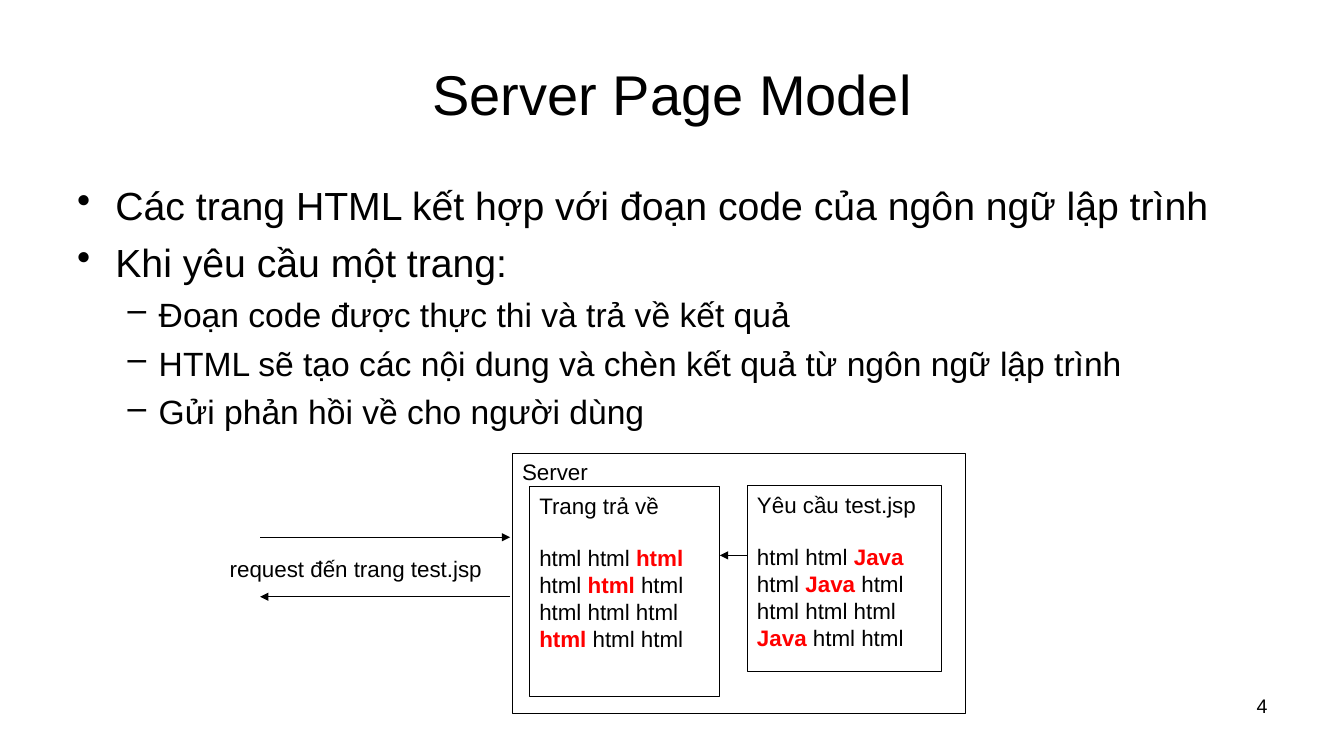
import pptx
import pptx.util
import pptx.dml.color
import pptx.enum.shapes
import pptx.enum.text
import pptx.oxml
import pptx.oxml.ns

# Content
TITLE = "Server Page Model"
PAGE_NUMBER = "4"
POINTS = [
    (0, "Các trang HTML kết hợp với đoạn code của ngôn ngữ lập trình"),
    (0, "Khi yêu cầu một trang:"),
    (1, "Đoạn code được thực thi và trả về kết quả"),
    (1, "HTML sẽ tạo các nội dung và chèn kết quả từ ngôn ngữ lập trình"),
    (1, "Gửi phản hồi về cho người dùng"),
]
REQUEST = "request đến trang test.jsp"
SERVER = "Server"
# Words between asterisks are highlighted; {} takes the name of the language.
CODE = ["html html *{}*", "html *{}* html", "html html html", "*{}* html html"]
PAGES = [  # heading, highlighted word, left, top, width, height
    ("Yêu cầu test.jsp", "Java", 7.41, 4.82, 1.93, 1.84),
    ("Trang trả về", "html", 5.25, 4.83, 1.89, 2.08),
]

# Style
COLORS = {"ink": "000000", "paper": "FFFFFF", "highlight": "FF0000"}
FONT = "Arial"
LABEL_SIZE = 16
LEVELS = [  # bullet, size, space before, left indent, hanging indent
    ("•", 28, 7, 0.38, 0.38),
    ("–", 24, 6, 0.81, 0.31),
]

# Layout
SLIDE_W, SLIDE_H = 13.33, 7.5
MARGIN = SLIDE_W / 20
CONTENT_W = SLIDE_W - 2 * MARGIN
SERVER_BOX = (5.08, 4.5, 4.5, 2.58)
CLIENT_X, SERVER_X = 2.58, 5.06
ARROWS = [  # start x, end x, y
    (CLIENT_X, SERVER_X, 5.33),
    (PAGES[0][2], PAGES[1][2] + PAGES[1][4], 5.51),
    (SERVER_X, CLIENT_X, 5.92),
]

Inches, Pt = pptx.util.Inches, pptx.util.Pt
ALIGN, ANCHOR = pptx.enum.text.PP_ALIGN, pptx.enum.text.MSO_ANCHOR


def color(name):
    return pptx.dml.color.RGBColor.from_string(COLORS[name])


def write(frame, text, size=LABEL_SIZE, align=ALIGN.LEFT, before=0, level=None):
    """Add one paragraph; parts between asterisks are bold and highlighted."""
    paragraph = frame.paragraphs[0]
    if paragraph.runs:
        paragraph = frame.add_paragraph()
        paragraph.space_before = Pt(before)
    paragraph.alignment = align
    if level is not None:
        bullet, _, _, indent, hanging = LEVELS[level]
        paragraph.level = level
        properties = paragraph._p.get_or_add_pPr()
        properties.set("marL", str(Inches(indent)))
        properties.set("indent", str(-Inches(hanging)))
        mark = pptx.oxml.parse_xml(
            f'<a:buChar {pptx.oxml.ns.nsdecls("a")} char="{bullet}"/>')
        properties.append(mark)
    for index, part in enumerate(text.split("*")):
        if part:
            run = paragraph.add_run()
            run.text = part
            run.font.name = FONT
            run.font.size = Pt(size)
            run.font.bold = index % 2 == 1
            run.font.color.rgb = color("highlight" if index % 2 else "ink")


def text_box(slide, left, top, width, height, anchor=ANCHOR.TOP):
    frame = slide.shapes.add_textbox(*map(Inches, (left, top, width, height))).text_frame
    frame.word_wrap = True
    frame.vertical_anchor = anchor
    return frame


def panel(slide, left, top, width, height):
    box = slide.shapes.add_shape(
        pptx.enum.shapes.MSO_SHAPE.RECTANGLE, *map(Inches, (left, top, width, height)))
    box.shadow.inherit = False
    box.fill.solid()
    box.fill.fore_color.rgb = color("paper")
    box.line.color.rgb = color("ink")
    box.line.width = Pt(0.75)
    box.text_frame.word_wrap = True
    box.text_frame.vertical_anchor = ANCHOR.TOP
    return box.text_frame


def arrow(slide, start, end, y):
    line = slide.shapes.add_connector(
        pptx.enum.shapes.MSO_CONNECTOR.STRAIGHT, *map(Inches, (start, y, end, y)))
    line.line.color.rgb = color("ink")
    line.line.width = Pt(0.75)
    namespace = pptx.oxml.ns.nsdecls("a")
    line.line._get_or_add_ln().append(
        pptx.oxml.parse_xml(f'<a:tailEnd {namespace} type="triangle"/>'))
    line._element.spPr.append(pptx.oxml.parse_xml(f"<a:effectLst {namespace}/>"))


def main():
    deck = pptx.Presentation()
    deck.slide_width, deck.slide_height = Inches(SLIDE_W), Inches(SLIDE_H)
    slide = deck.slides.add_slide(deck.slide_layouts[6])

    # Page number, title and bullet points
    number = text_box(slide, 9.56, 6.83, 3.11, 0.52)
    write(number, PAGE_NUMBER, size=14, align=ALIGN.RIGHT)
    title = text_box(slide, MARGIN, 0.3, CONTENT_W, 1.25, anchor=ANCHOR.MIDDLE)
    write(title, TITLE, size=40, align=ALIGN.CENTER)
    body = text_box(slide, MARGIN, 1.75, CONTENT_W, 2.75)
    for level, point in POINTS:
        _, size, before, _, _ = LEVELS[level]
        write(body, point, size=size, before=before, level=level)

    # Server with the requested page and the returned page
    write(text_box(slide, 2.18, 5.46, 3.24, 0.58), REQUEST)
    write(panel(slide, *SERVER_BOX), SERVER)
    for heading, word, *place in PAGES:
        page = panel(slide, *place)
        write(page, heading)
        for row, code in enumerate(CODE):
            write(page, code.format(word), before=0 if row else 1.15 * LABEL_SIZE)

    # Request, processing and response
    for start, end, y in ARROWS:
        arrow(slide, start, end, y)

    deck.save("out.pptx")


if __name__ == "__main__":
    main()
